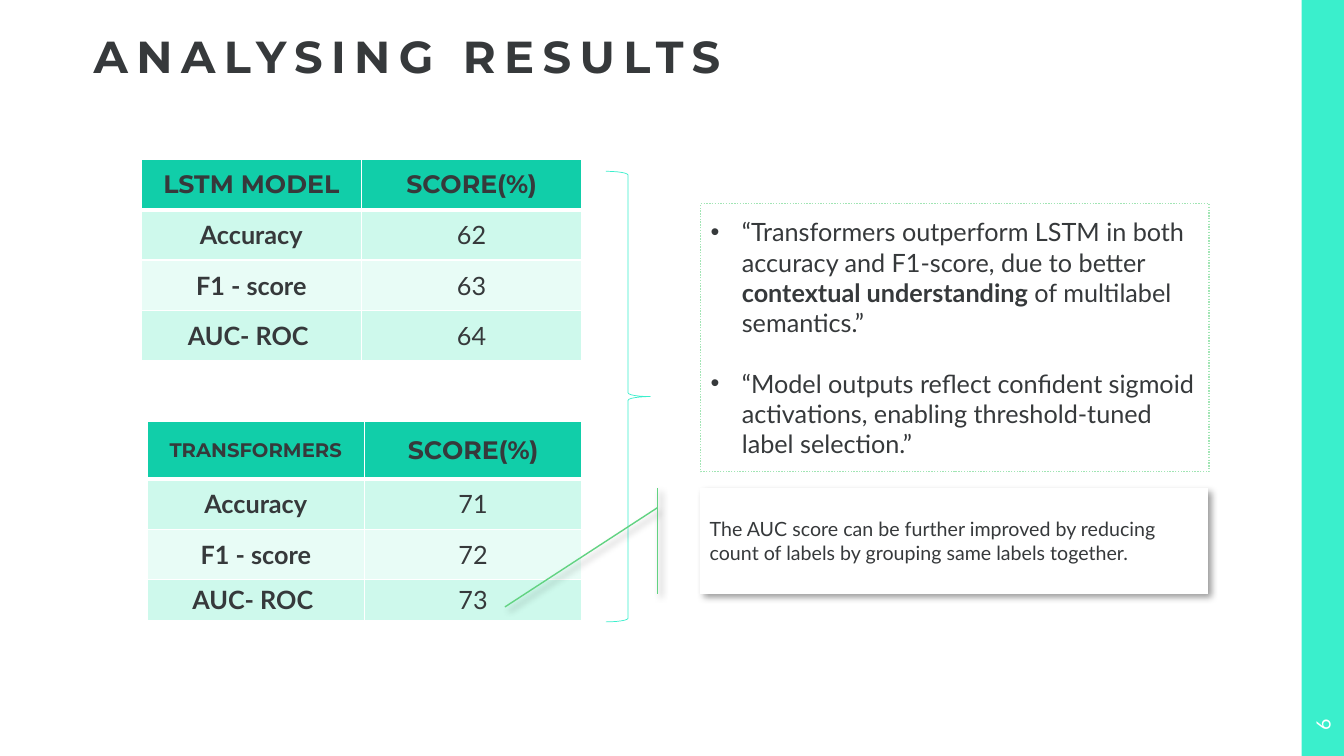
import pptx
import pptx.dml.color
import pptx.enum.dml
import pptx.enum.shapes
import pptx.enum.text
import pptx.oxml
import pptx.oxml.ns
import pptx.util
from pptx.util import Inches

INK = "36393B"
WHITE = "FFFFFF"
TURQUOISE = "3AEFCC"
HEADER = "11CEA9"
BANDS = ("CEF9EC", "E8FCF6")
SHAPES = pptx.enum.shapes.MSO_SHAPE
MIDDLE = pptx.enum.text.MSO_ANCHOR.MIDDLE
CENTER = pptx.enum.text.PP_ALIGN.CENTER


def color(value):
    return pptx.dml.color.RGBColor.from_string(value)


def xml(text):
    """Parse an element written with the a: prefix."""
    head, mark, tail = text.partition(">")
    if head.endswith("/"):
        head, mark = head[:-1], "/>"
    return pptx.oxml.parse_xml(f"{head} {pptx.oxml.ns.nsdecls('a')}{mark}{tail}")


def add_span(para, text, size, font="Lato", bold=False, ink=INK):
    span = para.add_run()
    span.text = text
    span.font.name = font
    span.font.size = pptx.util.Pt(size)
    span.font.bold = bold
    span.font.color.rgb = color(ink)
    return span


def add_text_box(page, left, top, width, height, anchor):
    box = page.shapes.add_textbox(Inches(left), Inches(top), Inches(width), Inches(height))
    box.text_frame.word_wrap = True
    box.text_frame.vertical_anchor = anchor
    return box


def add_shape(page, kind, left, top, width, height, fill=None, line=None, weight=1):
    shape = page.shapes.add_shape(kind, Inches(left), Inches(top), Inches(width), Inches(height))
    shape.shadow.inherit = False
    if fill:
        shape.fill.solid()
        shape.fill.fore_color.rgb = color(fill)
    else:
        shape.fill.background()
    if line:
        shape.line.color.rgb = color(line)
        shape.line.width = pptx.util.Pt(weight)
    else:
        shape.line.fill.background()
    shape.text_frame.word_wrap = True
    shape.text_frame.vertical_anchor = MIDDLE
    shape.text_frame.paragraphs[0].alignment = pptx.enum.text.PP_ALIGN.LEFT
    return shape


def style_cell(cell, row, fill):
    """White borders, thick between the header and the first row."""
    weights = {"L": 1, "R": 1, "T": 3 if row == 1 else 1, "B": 3 if row == 0 else 1}
    properties = cell._tc.get_or_add_tcPr()
    for side, weight in weights.items():
        properties.append(xml(
            f'<a:ln{side} w="{pptx.util.Pt(weight)}"><a:solidFill>'
            f'<a:srgbClr val="{WHITE}"/></a:solidFill></a:ln{side}>'))
    cell.fill.solid()
    cell.fill.fore_color.rgb = color(fill)
    cell.vertical_anchor = MIDDLE


def add_score_table(page, left, top, width, heights, model, model_size, scores):
    rows = [(model, "SCORE(%)"), *zip(("Accuracy", "F1 - score", "AUC- ROC "), scores)]
    frame = page.shapes.add_table(len(rows), 2, Inches(left), Inches(top),
                                  Inches(width), Inches(sum(heights)))
    table = frame.table
    for column in table.columns:
        column.width = Inches(width / 2)
    for row, (values, height) in enumerate(zip(rows, heights)):
        table.rows[row].height = Inches(height)
        for column, value in enumerate(values):
            cell = table.cell(row, column)
            style_cell(cell, row, HEADER if row == 0 else BANDS[(row - 1) % 2])
            para = cell.text_frame.paragraphs[0]
            para.alignment = CENTER
            size = model_size if row == column == 0 else 18
            font = "Montserrat" if row == 0 else "Lato"
            add_span(para, value, size, font, bold=row == 0 or column == 0)


def add_title(page, text):
    box = add_text_box(page, 0.93, 0, 11.07, 0.83, pptx.enum.text.MSO_ANCHOR.BOTTOM)
    frame = box.text_frame
    frame.margin_left = frame.margin_right = frame.margin_top = frame.margin_bottom = 0
    para = frame.paragraphs[0]
    para.line_spacing = 0.9
    span = add_span(para, text, 32, "Montserrat", bold=True)
    span.font._element.set("spc", "600")


def add_side_bar(page, number):
    add_shape(page, SHAPES.RECTANGLE, 12.91, 0, 0.42, 7.5, TURQUOISE)
    box = add_text_box(page, 12.81, 6.98, 0.62, 0.42, MIDDLE)
    box.rotation = 270
    para = box.text_frame.paragraphs[0]
    para.alignment = CENTER
    add_span(para, number, 14, ink=WHITE)


def add_findings(page, findings):
    """Each finding is a bullet made of (text, bold) parts."""
    box = add_shape(page, SHAPES.RECTANGLE, 6.95, 2.02, 5.04, 2.66, WHITE, "A1E5B4")
    box.line.dash_style = pptx.enum.dml.MSO_LINE.ROUND_DOT
    frame = box.text_frame
    for index, parts in enumerate(findings):
        para = frame.add_paragraph() if index else frame.paragraphs[0]
        para.alignment = pptx.enum.text.PP_ALIGN.LEFT
        if index:
            para.space_before = pptx.util.Pt(21.6)
        properties = para._p.get_or_add_pPr()
        properties.set("marL", str(Inches(0.31)))
        properties.set("indent", str(-Inches(0.31)))
        properties.append(xml('<a:buFont typeface="Arial"/>'))
        properties.append(xml('<a:buChar char="•"/>'))
        for text, bold in parts:
            add_span(para, text, 18, bold=bold)


def add_callout(page, text):
    callout = add_shape(page, SHAPES.LINE_CALLOUT_1_ACCENT_BAR, 6.94, 4.84, 5.04, 1.05,
                        WHITE, "62D382")
    effects = callout._element.spPr.find(pptx.oxml.ns.qn("a:effectLst"))
    effects.append(xml(
        f'<a:outerShdw blurRad="{pptx.util.Pt(5)}" dist="{pptx.util.Pt(3)}" dir="2700000" '
        'algn="tl" rotWithShape="0"><a:srgbClr val="000000"><a:alpha val="40000"/>'
        '</a:srgbClr></a:outerShdw>'))
    add_span(callout.text_frame.paragraphs[0], text, 14)


def main():
    deck = pptx.Presentation()
    deck.slide_width = Inches(13.33)
    deck.slide_height = Inches(7.5)
    page = deck.slides.add_slide(deck.slide_layouts[6])

    add_side_bar(page, "6")
    add_title(page, "ANALYSING RESULTS")
    add_score_table(page, 1.4, 1.58, 4.37, (0.5, 0.5, 0.5, 0.5),
                    "LSTM MODEL", 18, ("62", "63", "64"))
    add_score_table(page, 1.46, 4.18, 4.31, (0.57, 0.5, 0.5, 0.41),
                    "TRANSFORMERS", 14, ("71", "72", "73"))
    add_shape(page, SHAPES.RIGHT_BRACE, 6.01, 1.7, 0.44, 4.47, line=TURQUOISE, weight=0.5)
    add_findings(page, [
        [("“Transformers outperform LSTM in both accuracy and F1-score, due to better ", False),
         ("contextual understanding", True),
         (" of multilabel semantics.”", False)],
        [("“Model outputs reflect confident sigmoid activations, "
          "enabling threshold-tuned label selection.”", False)],
    ])
    add_callout(page, "The AUC score can be further improved by reducing "
                      "count of labels by grouping same labels together.")
    deck.save("out.pptx")


if __name__ == "__main__":
    main()
